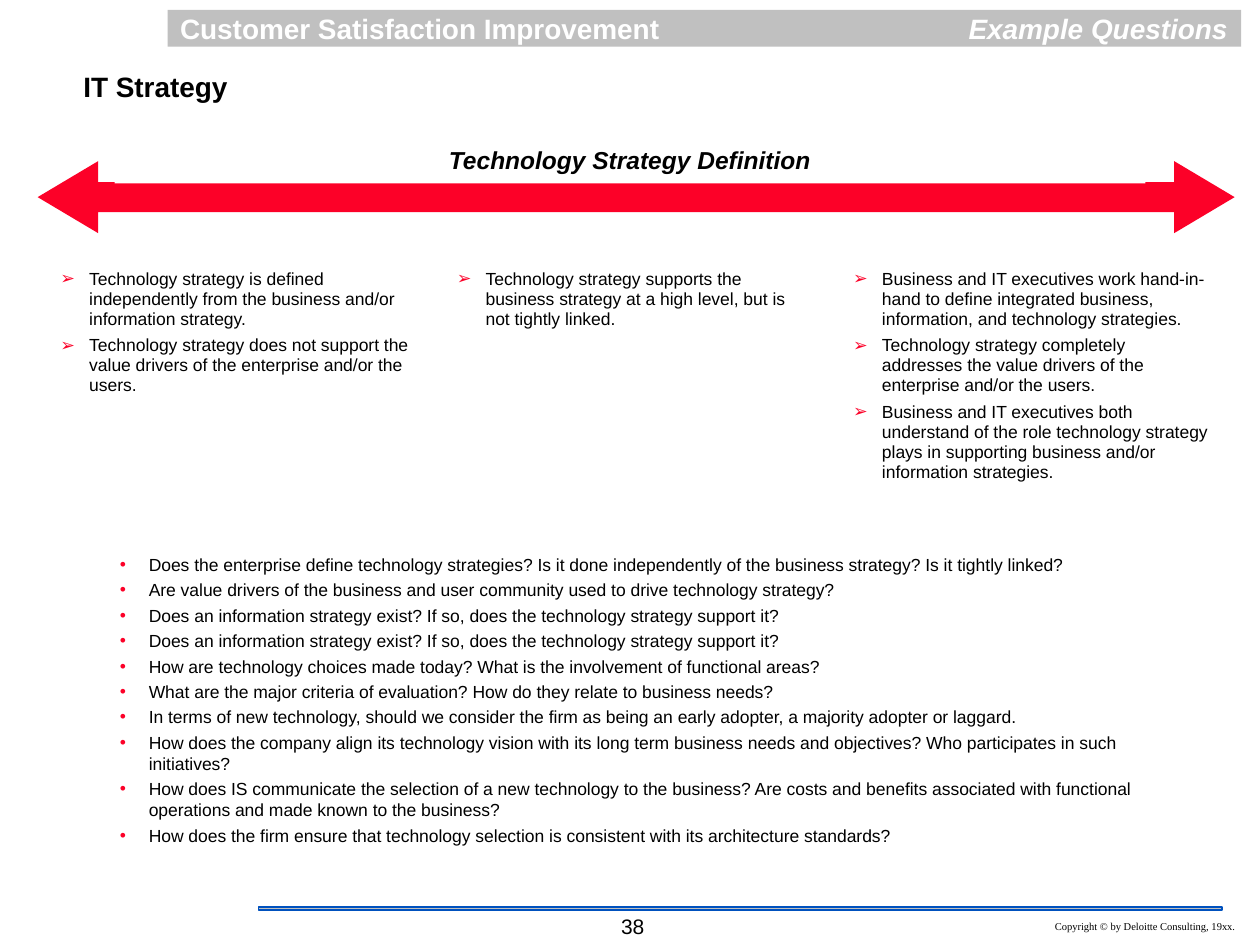
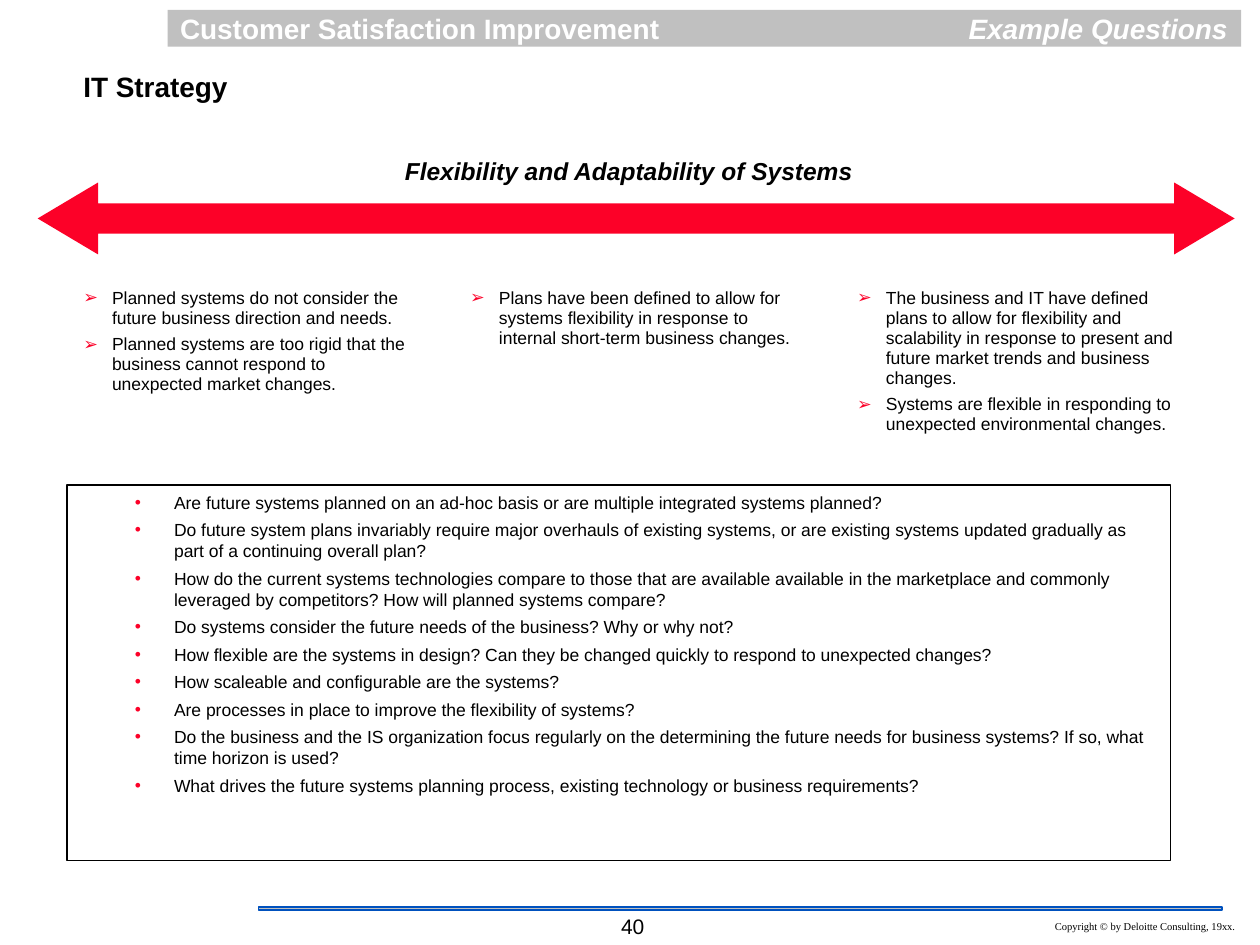
from dataclasses import dataclass

from lxml import etree
from pptx import Presentation
from pptx.dml.color import RGBColor
from pptx.enum.shapes import MSO_SHAPE
from pptx.enum.text import MSO_ANCHOR, MSO_AUTO_SIZE, PP_ALIGN
from pptx.oxml.ns import qn
from pptx.util import Cm, Pt

LEFT, CENTER, RIGHT = PP_ALIGN.LEFT, PP_ALIGN.CENTER, PP_ALIGN.RIGHT
TOP, MIDDLE = MSO_ANCHOR.TOP, MSO_ANCHOR.MIDDLE
RECTANGLE, DOUBLE_ARROW = MSO_SHAPE.RECTANGLE, MSO_SHAPE.LEFT_RIGHT_ARROW
NO_AUTOFIT = MSO_AUTO_SIZE.NONE
TITLE_ONLY = 5


@dataclass(frozen=True)
class Theme:
    sans: str = "Arial"
    serif: str = "Times New Roman"
    black: str = "000000"
    white: str = "FFFFFF"
    grey: str = "C0C0C0"
    red: str = "FC0128"
    blue: str = "0051BE"
    heading: float = 16
    title: float = 14
    number: float = 12
    body: float = 10
    copyright: float = 6


THEME = Theme()


@dataclass(frozen=True)
class Area:
    left: float
    top: float
    width: float
    height: float

    def lengths(self) -> tuple[Cm, Cm, Cm, Cm]:
        return Cm(self.left), Cm(self.top), Cm(self.width), Cm(self.height)


@dataclass(frozen=True)
class TextStyle:
    size: float = THEME.body
    color: str = THEME.black
    font: str = THEME.sans
    bold: bool = False
    italic: bool = False
    align: PP_ALIGN = LEFT
    anchor: MSO_ANCHOR = TOP
    line_spacing: float = 1.0
    space_before: float = 0
    inset_x: float = 0.25
    inset_y: float = 0.13


@dataclass(frozen=True)
class Bullet:
    mark: str
    indent: float
    hanging: float


@dataclass(frozen=True)
class Label:
    text: str
    area: Area
    style: TextStyle


@dataclass(frozen=True)
class Questions:
    area: Area
    style: TextStyle
    bullet: Bullet
    items: tuple[str, ...]
    framed: bool = False


@dataclass(frozen=True)
class Assessment:
    number: str
    title: str
    title_area: Area
    arrow_top: float
    first_column: Area
    column_pitch: float
    columns: tuple[tuple[str, ...], ...]
    questions: Questions


TITLE_STYLE = TextStyle(THEME.title, bold=True, italic=True, align=CENTER, anchor=MIDDLE,
                        line_spacing=0.87, inset_x=0.23)
COLUMN_STYLE = TextStyle(line_spacing=0.95, space_before=3.7, inset_x=0.23, inset_y=0.2)
NUMBER_STYLE = TextStyle(THEME.number)
COLUMN_BULLET = Bullet("➢", 0.58, 0.58)

BAND = Area(3.38, 0.2, 21.64, 0.74)
FOOTER_RULE = Area(5.21, 18.29, 19.43, 0.05)
NUMBER_AREA = Area(12.27, 18.29, 1.02, 0.76)

SHARED_LABELS = (
    Label("Customer Satisfaction Improvement", Area(3.38, 0.18, 10.8, 0.74),
          TextStyle(THEME.heading, THEME.white, bold=True, line_spacing=0.89)),
    Label("Example Questions", Area(13.77, 0.18, 11.23, 0.84),
          TextStyle(THEME.heading, THEME.white, bold=True, italic=True, align=RIGHT,
                    line_spacing=0.89)),
    Label("IT Strategy", Area(0.76, 1.35, 4.75, 0.86),
          TextStyle(THEME.heading, bold=True, align=CENTER, anchor=MIDDLE,
                    line_spacing=0.95, inset_x=0.1, inset_y=0.1)),
    Label("Copyright © by Deloitte Consulting, 19xx.", Area(19.28, 18.42, 5.87, 0.51),
          TextStyle(THEME.copyright, font=THEME.serif, align=RIGHT)),
)

ASSESSMENTS = (
    Assessment(
        number="38",
        title="Technology Strategy Definition",
        title_area=Area(2.31, 2.84, 20.78, 0.86),
        arrow_top=3.25,
        first_column=Area(0.99, 5.23, 7.62, 8.2),
        column_pitch=7.99,
        columns=(
            ("Technology strategy is defined independently from the business and/or "
             "information strategy.",
             "Technology strategy does not support the value drivers of the enterprise "
             "and/or the users."),
            ("Technology strategy supports the business strategy at a high level, but is "
             "not tightly linked.",),
            ("Business and IT executives work hand-in-hand to define integrated business, "
             "information, and technology strategies.",
             "Technology strategy completely addresses the value drivers of the enterprise "
             "and/or the users.",
             "Business and IT executives both understand of the role technology strategy "
             "plays in supporting business and/or information strategies."),
        ),
        questions=Questions(
            Area(2.26, 11.05, 21.03, 6.12),
            TextStyle(anchor=MIDDLE, space_before=2.5, inset_x=0.13),
            Bullet("•", 0.61, 0.58),
            (
                "Does the enterprise define technology strategies? Is it done independently "
                "of the business strategy? Is it tightly linked?",
                "Are value drivers of the business and user community used to drive "
                "technology strategy?",
                "Does an information strategy exist? If so, does the technology strategy "
                "support it?",
                "Does an information strategy exist? If so, does the technology strategy "
                "support it?",
                "How are technology choices made today? What is the involvement of "
                "functional areas?",
                "What are the major criteria of evaluation? How do they relate to business "
                "needs?",
                "In terms of new technology, should we consider the firm as being an early "
                "adopter, a majority adopter or laggard.",
                "How does the company align its technology vision with its long term "
                "business needs and objectives? Who participates in such initiatives?",
                "How does IS communicate the selection of a new technology to the business? "
                "Are costs and benefits associated with functional operations and made "
                "known to the business?",
                "How does the firm ensure that technology selection is consistent with its "
                "architecture standards?",
            ),
        ),
    ),
    Assessment(
        number="40",
        title="Flexibility and Adaptability of Systems",
        title_area=Area(2.29, 3.05, 20.78, 0.86),
        arrow_top=3.68,
        first_column=Area(1.45, 5.61, 7.24, 5.77),
        column_pitch=7.8,
        columns=(
            ("Planned systems do not consider the future business direction and needs.",
             "Planned systems are too rigid that the business cannot respond to unexpected "
             "market changes."),
            ("Plans have been defined to allow for systems flexibility in response to "
             "internal short-term business changes.",),
            ("The business and IT have defined plans to allow for flexibility and "
             "scalability in response to present and future market trends and business "
             "changes.",
             "Systems are flexible in responding to unexpected environmental changes."),
        ),
        questions=Questions(
            Area(1.35, 9.78, 22.25, 7.57),
            TextStyle(space_before=3.7, inset_x=0.23),
            Bullet("•", 1.93, 0.79),
            (
                "Are future systems planned on an ad-hoc basis or are multiple integrated "
                "systems planned?",
                "Do future system plans invariably require major overhauls of existing "
                "systems, or are existing systems updated gradually as part of a continuing "
                "overall plan?",
                "How do the current systems technologies compare to those that are available "
                "available in the marketplace and commonly leveraged by competitors? How "
                "will planned systems compare?",
                "Do systems consider the future needs of the business? Why or why not?",
                "How flexible are the systems in design? Can they be changed quickly to "
                "respond to unexpected changes?",
                "How scaleable and configurable are the systems?",
                "Are processes in place to improve the flexibility of systems?",
                "Do the business and the IS organization focus regularly on the determining "
                "the future needs for business systems? If so, what time horizon is used?",
                "What drives the future systems planning process, existing technology or "
                "business requirements?",
            ),
            framed=True,
        ),
    ),
)


def add_bullet(paragraph, bullet: Bullet) -> None:
    properties = paragraph._p.get_or_add_pPr()
    properties.set("marL", str(Cm(bullet.indent)))
    properties.set("indent", str(-Cm(bullet.hanging)))
    color = etree.SubElement(properties, qn("a:buClr"))
    etree.SubElement(color, qn("a:srgbClr"), val=THEME.red)
    etree.SubElement(properties, qn("a:buFont"), typeface=THEME.sans)
    etree.SubElement(properties, qn("a:buChar"), char=bullet.mark)


def write_text(box, lines: tuple[str, ...], style: TextStyle,
               bullet: Bullet | None = None) -> None:
    frame = box.text_frame
    frame.text = "\n".join(lines)
    frame.word_wrap = True
    frame.auto_size = NO_AUTOFIT
    frame.vertical_anchor = style.anchor
    frame.margin_left = frame.margin_right = Cm(style.inset_x)
    frame.margin_top = frame.margin_bottom = Cm(style.inset_y)
    for index, paragraph in enumerate(frame.paragraphs):
        if bullet:
            add_bullet(paragraph, bullet)
        paragraph.alignment = style.align
        paragraph.line_spacing = style.line_spacing
        paragraph.space_before = Pt(style.space_before if index else 0)
        for span in paragraph.runs:
            span.font.name = style.font
            span.font.size = Pt(style.size)
            span.font.bold = style.bold
            span.font.italic = style.italic
            span.font.color.rgb = RGBColor.from_string(style.color)


def fill_solid(shape, color: str) -> None:
    shape.fill.solid()
    shape.fill.fore_color.rgb = RGBColor.from_string(color)


def add_figure(page, kind: MSO_SHAPE, area: Area, fill: str,
               line: str | None = None, line_width: float = 1):
    shape = page.shapes.add_shape(kind, *area.lengths())
    shape.shadow.inherit = False
    fill_solid(shape, fill)
    if line:
        shape.line.color.rgb = RGBColor.from_string(line)
        shape.line.width = Pt(line_width)
    else:
        shape.line.fill.background()
    return shape


def add_label(page, label: Label) -> None:
    write_text(page.shapes.add_textbox(*label.area.lengths()), (label.text,), label.style)


def add_frame(page, number: str) -> None:
    add_figure(page, RECTANGLE, BAND, THEME.grey)
    add_figure(page, RECTANGLE, FOOTER_RULE, THEME.grey, THEME.blue)
    for label in (*SHARED_LABELS, Label(number, NUMBER_AREA, NUMBER_STYLE)):
        add_label(page, label)


def add_arrow(page, top: float) -> None:
    arrow = add_figure(page, DOUBLE_ARROW, Area(0.76, top, 24.13, 1.45), THEME.red)
    arrow.adjustments[0] = 0.42
    arrow.adjustments[1] = 0.84


def place_title(page, text: str, area: Area) -> None:
    title = page.shapes.title
    title.left, title.top, title.width, title.height = area.lengths()
    fill_solid(title, THEME.white)
    write_text(title, (text,), TITLE_STYLE)
    title.element.getparent().append(title.element)


def add_columns(page, assessment: Assessment) -> None:
    first = assessment.first_column
    for index, lines in enumerate(assessment.columns):
        area = Area(first.left + index * assessment.column_pitch, first.top,
                    first.width, first.height)
        box = page.shapes.add_textbox(*area.lengths())
        write_text(box, lines, COLUMN_STYLE, COLUMN_BULLET)


def add_questions(page, questions: Questions) -> None:
    if questions.framed:
        box = add_figure(page, RECTANGLE, questions.area, THEME.white, THEME.black, 0.75)
    else:
        box = page.shapes.add_textbox(*questions.area.lengths())
    write_text(box, questions.items, questions.style, questions.bullet)


def main() -> None:
    deck = Presentation()
    deck.slide_width, deck.slide_height = Cm(25.4), Cm(19.05)
    for assessment in ASSESSMENTS:
        page = deck.slides.add_slide(deck.slide_layouts[TITLE_ONLY])
        add_frame(page, assessment.number)
        add_columns(page, assessment)
        add_arrow(page, assessment.arrow_top)
        place_title(page, assessment.title, assessment.title_area)
        add_questions(page, assessment.questions)
    deck.save("out.pptx")


if __name__ == "__main__":
    main()
